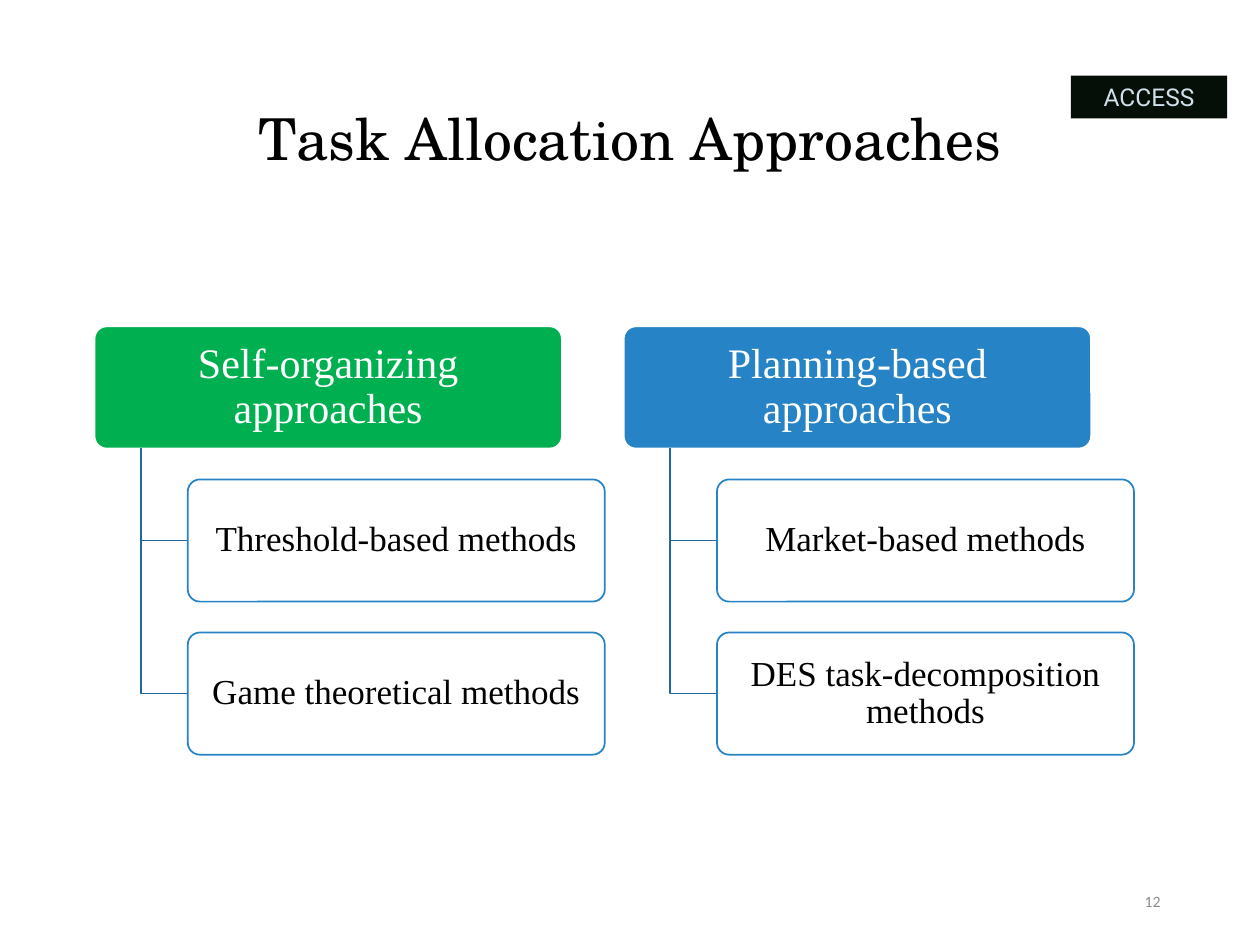
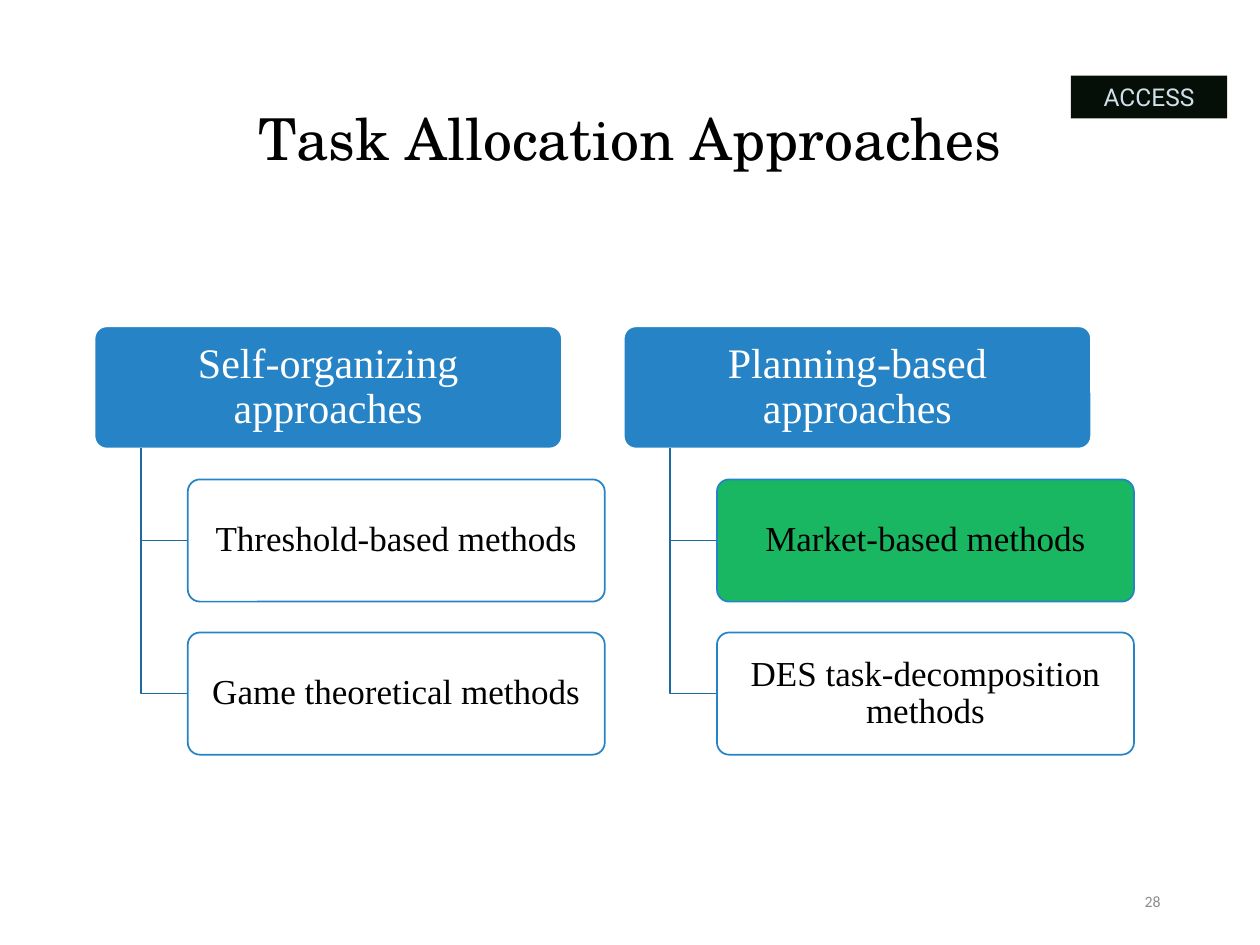
from lxml import etree
from pptx import Presentation
from pptx.dml.color import RGBColor
from pptx.enum.shapes import MSO_SHAPE
from pptx.enum.text import MSO_ANCHOR, PP_ALIGN
from pptx.oxml.ns import qn
from pptx.util import Inches, Pt

RECTANGLE, ROUNDED = MSO_SHAPE.RECTANGLE, MSO_SHAPE.ROUNDED_RECTANGLE
MIDDLE = MSO_ANCHOR.MIDDLE
CENTER, RIGHT = PP_ALIGN.CENTER, PP_ALIGN.RIGHT

COLORS = {
    "black": "000000", "white": "FFFFFF", "gray": "8C8C8C",
    "blue": "2683C6", "branch": "1E699F", "highlight": "00B050",
    "badge": "060E08", "badge_text": "CFE0EA",
}

TITLE = "Task Allocation Approaches"
BADGE = "ACCESS"
APPROACHES = [
    ("Self-organizing approaches",
     ["Threshold-based methods", "Game theoretical methods"]),
    ("Planning-based approaches",
     ["Market-based methods", "DES task-decomposition methods"]),
]
SLIDES = [
    {"number": "12", "highlighted": "Self-organizing approaches"},
    {"number": "28", "highlighted": "Market-based methods"},
]

TITLE_AREA = (0.69, 0.4, 8.62, 1.45)
NUMBER_AREA = (7.06, 6.95, 2.25, 0.4)
BADGE_AREA = (8.5, 0.6, 1.24, 0.34)
TREE_LEFT, TREE_TOP, TREE_PITCH = 0.75, 2.59, 4.2
HEADER_WIDTH, METHOD_WIDTH, BOX_HEIGHT = 3.71, 3.31, 0.97
ROW_PITCH = 1.215
TRUNK_INDENT, METHOD_INDENT = 0.37, 0.74

STYLES = {
    "title": {"name": "TeX Gyre Schola", "size": 33, "color": "black", "spacing": 0.9},
    "number": {"name": "Calibri", "size": 9, "color": "gray", "align": RIGHT},
    "badge": {"name": "Roboto", "size": 14, "color": "badge_text"},
    "header": {"name": "Times New Roman", "size": 24, "color": "white",
               "spacing": 0.9, "insets": (0.05, 0.03)},
    "method": {"name": "Times New Roman", "size": 20, "color": "black",
               "spacing": 0.9, "insets": (0.04, 0.03)},
}


def color(name):
    return RGBColor.from_string(COLORS[name])


def write(shape, text, style):
    frame = shape.text_frame
    across, down = style.get("insets", (0.1, 0.05))
    frame_format = {
        "word_wrap": True, "vertical_anchor": MIDDLE,
        "margin_left": Inches(across), "margin_right": Inches(across),
        "margin_top": Inches(down), "margin_bottom": Inches(down),
    }
    for name, value in frame_format.items():
        setattr(frame, name, value)
    para = frame.paragraphs[0]
    para.alignment = style.get("align", CENTER)
    para.line_spacing = style.get("spacing", 1.0)
    span = para.add_run()
    span.text = text
    for name, value in {"name": style["name"], "size": Pt(style["size"])}.items():
        setattr(span.font, name, value)
    span.font.color.rgb = color(style["color"])


def add_text(page, area, text, style):
    write(page.shapes.add_textbox(*map(Inches, area)), text, style)


def add_box(page, kind, area, text, style, fill, line=None, opacity=100):
    box = page.shapes.add_shape(kind, *map(Inches, area))
    box.shadow.inherit = False
    box.fill.solid()
    box.fill.fore_color.rgb = color(fill)
    if opacity < 100:
        tint = box.fill._xPr.find(qn("a:solidFill")).find(qn("a:srgbClr"))
        etree.SubElement(tint, qn("a:alpha"), val=str(opacity * 1000))
    if line:
        box.line.color.rgb = color(line)
        box.line.width = Pt(1)
    else:
        box.line.fill.background()
    if kind == ROUNDED:
        box.adjustments[0] = 0.1
    write(box, text, style)


def add_branch(page, left, top, right, bottom):
    left, top, right, bottom = map(Inches, (left, top, right, bottom))
    builder = page.shapes.build_freeform(left, top)
    builder.add_line_segments([(left, bottom), (right, bottom)], close=False)
    branch = builder.convert_to_shape()
    branch.shadow.inherit = False
    branch.fill.background()
    branch.line.color.rgb = color("branch")
    branch.line.width = Pt(1)


def add_tree(page, left, header, methods, highlighted):
    fill = "highlight" if header == highlighted else "blue"
    add_box(page, ROUNDED, (left, TREE_TOP, HEADER_WIDTH, BOX_HEIGHT),
            header, STYLES["header"], fill, "white")
    method_left = left + METHOD_INDENT
    for row, method in enumerate(methods, start=1):
        top = TREE_TOP + row * ROW_PITCH
        add_branch(page, left + TRUNK_INDENT, TREE_TOP + BOX_HEIGHT,
                   method_left, top + BOX_HEIGHT / 2)
        fill = "highlight" if method == highlighted else "white"
        add_box(page, ROUNDED, (method_left, top, METHOD_WIDTH, BOX_HEIGHT),
                method, STYLES["method"], fill, "blue", opacity=90)


def add_page(deck, number, highlighted):
    page = deck.slides.add_slide(deck.slide_layouts[6])
    add_text(page, TITLE_AREA, TITLE, STYLES["title"])
    add_text(page, NUMBER_AREA, number, STYLES["number"])
    for column, (header, methods) in enumerate(APPROACHES):
        add_tree(page, TREE_LEFT + column * TREE_PITCH, header, methods, highlighted)
    add_box(page, RECTANGLE, BADGE_AREA, BADGE, STYLES["badge"], "badge")


def main():
    deck = Presentation()
    deck.slide_width, deck.slide_height = Inches(10), Inches(7.5)
    for content in SLIDES:
        add_page(deck, **content)
    deck.save("out.pptx")


if __name__ == "__main__":
    main()
